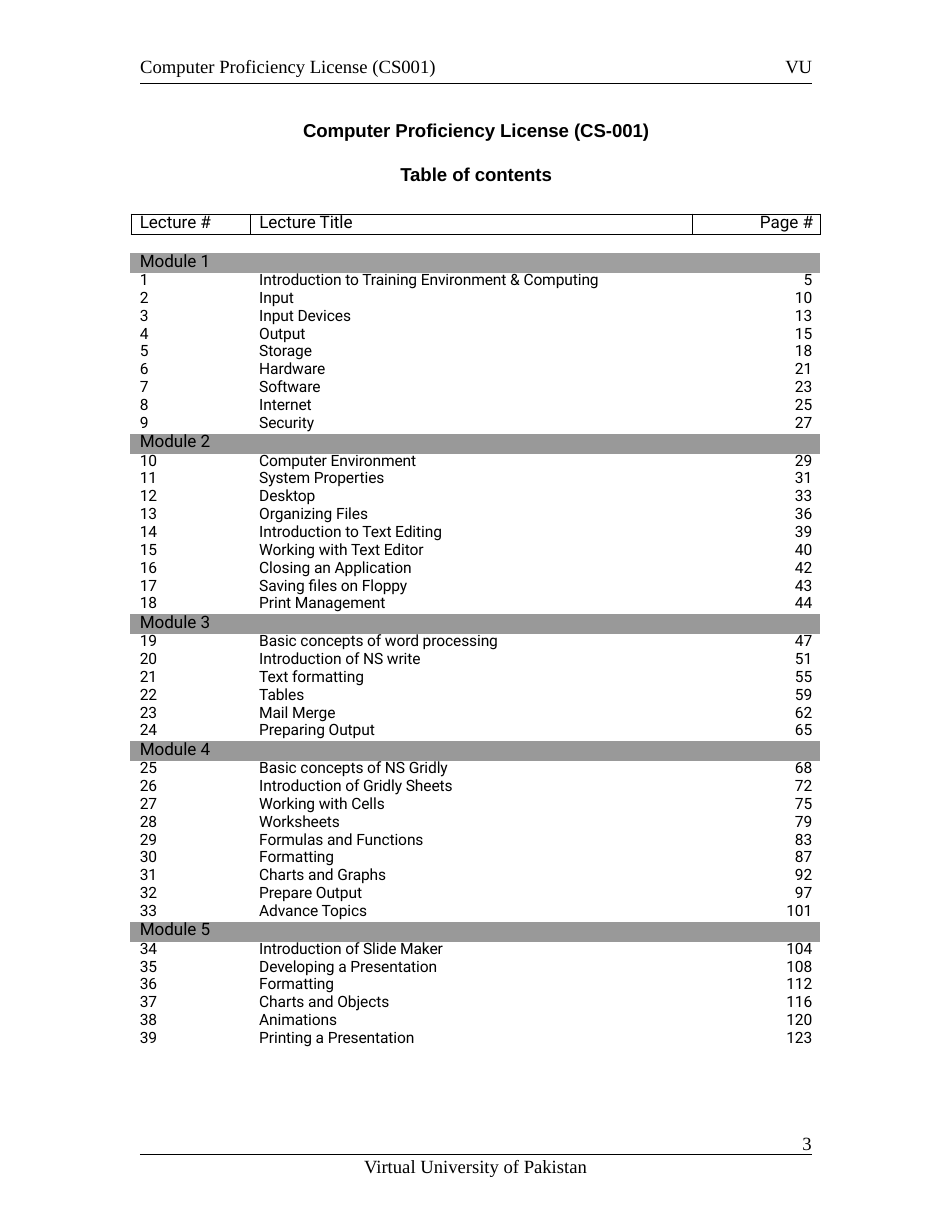
from lxml import etree
from pptx import Presentation
from pptx.dml.color import RGBColor
from pptx.enum.shapes import MSO_CONNECTOR
from pptx.enum.text import MSO_ANCHOR, PP_ALIGN as Align
from pptx.oxml.ns import qn
from pptx.util import Cm, Pt

COLORS = {"ink": "000000", "first_band": "9F9F9F", "band": "999999"}
SERIF, SANS, BODY = "Times New Roman", "Arial", "Roboto"
NO_GRID_STYLE = "{2D5ABB26-0587-4C30-8999-92F81FD0307C}"
MODULE_HEIGHT = 0.45

MODULES = [
    [("Introduction to Training Environment & Computing", 5), ("Input", 10),
     ("Input Devices", 13), ("Output", 15), ("Storage", 18), ("Hardware", 21),
     ("Software", 23), ("Internet", 25), ("Security", 27)],
    [("Computer Environment", 29), ("System Properties", 31), ("Desktop", 33),
     ("Organizing Files", 36), ("Introduction to Text Editing", 39),
     ("Working with Text Editor", 40), ("Closing an Application", 42),
     ("Saving files on Floppy", 43), ("Print Management", 44)],
    [("Basic concepts of word processing", 47), ("Introduction of NS write", 51),
     ("Text formatting", 55), ("Tables", 59), ("Mail Merge", 62),
     ("Preparing Output", 65)],
    [("Basic concepts of NS Gridly", 68), ("Introduction of Gridly Sheets", 72),
     ("Working with Cells", 75), ("Worksheets", 79),
     ("Formulas and Functions", 83), ("Formatting", 87),
     ("Charts and Graphs", 92), ("Prepare Output", 97), ("Advance Topics", 101)],
    [("Introduction of Slide Maker", 104), ("Developing a Presentation", 108),
     ("Formatting", 112), ("Charts and Objects", 116), ("Animations", 120),
     ("Printing a Presentation", 123)],
]


def color(name):
    return RGBColor.from_string(COLORS[name])


def format_paragraph(paragraph, font, size, align=Align.LEFT, bold=False, spacing=None):
    paragraph.alignment = align
    if spacing:
        paragraph.line_spacing = Pt(spacing)
    for run in paragraph.runs:
        run.font.name = font
        run.font.size = Pt(size)
        run.font.bold = bold
        run.font.color.rgb = color("ink")
        if font != SERIF:
            run.font._element.set("spc", "-5")
    if not paragraph.runs:
        etree.SubElement(paragraph._p, qn("a:endParaRPr"), sz="800")


def clear_margins(text_frame):
    text_frame.margin_left = text_frame.margin_right = 0
    text_frame.margin_top = text_frame.margin_bottom = 0


def add_label(slide, left, top, width, height, text, align=Align.LEFT):
    text_frame = slide.shapes.add_textbox(Cm(left), Cm(top), Cm(width), Cm(height)).text_frame
    clear_margins(text_frame)
    text_frame.word_wrap = True
    text_frame.text = text
    format_paragraph(text_frame.paragraphs[0], SERIF, 12, align)


def add_rule(slide, left, top, width):
    line = slide.shapes.add_connector(
        MSO_CONNECTOR.STRAIGHT, Cm(left), Cm(top), Cm(left + width), Cm(top))
    line.line.color.rgb = color("ink")
    line.line.width = Pt(0.75)
    etree.SubElement(line._element.spPr, qn("a:effectLst"))


def add_header(slide, left, top, width, height):
    half = width / 2
    add_label(slide, left, top, half, height, "Computer Proficiency License (CS001)")
    add_label(slide, left + half, top, half, height, "VU", Align.RIGHT)
    add_rule(slide, left, top + height, width)


def add_footer(slide, left, top, width, height):
    half = height / 2
    add_label(slide, left, top, width, half, "3", Align.RIGHT)
    add_rule(slide, left, top + half, width)
    add_label(slide, left, top + half, width, half, "Virtual University of Pakistan",
              Align.CENTER)


def place_title(slide, left, top, width, height):
    title = slide.shapes.title
    title.left, title.top, title.width, title.height = Cm(left), Cm(top), Cm(width), Cm(height)
    text_frame = title.text_frame
    clear_margins(text_frame)
    text_frame.vertical_anchor = MSO_ANCHOR.TOP
    text_frame.text = "Computer Proficiency License (CS-001)\nTable of contents"
    for paragraph in text_frame.paragraphs:
        format_paragraph(paragraph, SANS, 12, Align.CENTER, bold=True)
        paragraph.space_before = Pt(0)
    text_frame.paragraphs[1].space_before = Pt(14)


def add_plain_table(slide, left, top, column_widths, row_heights):
    table = slide.shapes.add_table(
        len(row_heights), len(column_widths), Cm(left), Cm(top),
        Cm(sum(column_widths)), Cm(sum(row_heights))).table
    table.first_row = table.horz_banding = False
    table._tbl.tblPr.find(qn("a:tableStyleId")).text = NO_GRID_STYLE
    for column, width in zip(table.columns, column_widths):
        column.width = Cm(width)
    for row, height in zip(table.rows, row_heights):
        row.height = Cm(height)
    return table


def fill_row(table, index, texts, size, spacing, indents, fill=None):
    aligns = (Align.LEFT, Align.LEFT, Align.RIGHT)
    for column, (text, align, indent) in enumerate(zip(texts, aligns, indents)):
        cell = table.cell(index, column)
        cell.margin_top = cell.margin_bottom = 0
        cell.margin_left = Cm(indent)
        cell.margin_right = Cm(0.17)
        cell.text = str(text)
        format_paragraph(cell.text_frame.paragraphs[0], BODY, size, align, spacing=spacing)
        if fill:
            cell.fill.solid()
            cell.fill.fore_color.rgb = color(fill)
        else:
            cell.fill.background()


def add_borders(cell):
    properties = cell._tc.get_or_add_tcPr()
    for index, side in enumerate(("a:lnL", "a:lnR", "a:lnT", "a:lnB")):
        border = etree.Element(qn(side), w=str(Pt(0.5)))
        fill = etree.SubElement(border, qn("a:solidFill"))
        etree.SubElement(fill, qn("a:srgbClr"), val=COLORS["ink"])
        properties.insert(index, border)


def add_column_heads(slide, left, top, height):
    table = add_plain_table(slide, left, top, (2.71, 10.03, 2.9), [height])
    fill_row(table, 0, ("Lecture #", "Lecture Title", "Page #"), 11, 12.2, (0.2, 0.2, 0))
    for cell in table.rows[0].cells:
        add_borders(cell)


def add_contents(slide, left, top, height):
    lecture_count = sum(len(lectures) for lectures in MODULES)
    lecture_height = (height - len(MODULES) * MODULE_HEIGHT) / lecture_count
    row_heights = []
    for lectures in MODULES:
        row_heights += [MODULE_HEIGHT] + [lecture_height] * len(lectures)
    table = add_plain_table(slide, left, top, (2.36, 10.44, 2.84), row_heights)
    indents = (0.22, 0.57, 0)
    row = lecture_number = 0
    for module_number, lectures in enumerate(MODULES, 1):
        fill = "first_band" if module_number == 1 else "band"
        fill_row(table, row, (f"Module {module_number}", "", ""), 11, 11.7, indents, fill)
        row += 1
        for name, page in lectures:
            lecture_number += 1
            fill_row(table, row, (lecture_number, name, page), 10, 10.5, indents)
            row += 1
    table.cell(0, 1).merge(table.cell(0, 2))


def main():
    presentation = Presentation()
    presentation.slide_width, presentation.slide_height = Cm(21.59), Cm(27.94)
    slide = presentation.slides.add_slide(presentation.slide_layouts[5])
    add_header(slide, 3.18, 1.24, 15.24, 0.66)
    place_title(slide, 6.8, 2.7, 8, 1.55)
    add_column_heads(slide, 2.97, 4.85, 0.47)
    add_contents(slide, 2.95, 5.74, 18.06)
    add_footer(slide, 3.17, 25.68, 15.24, 1.02)
    presentation.save("out.pptx")


if __name__ == "__main__":
    main()
